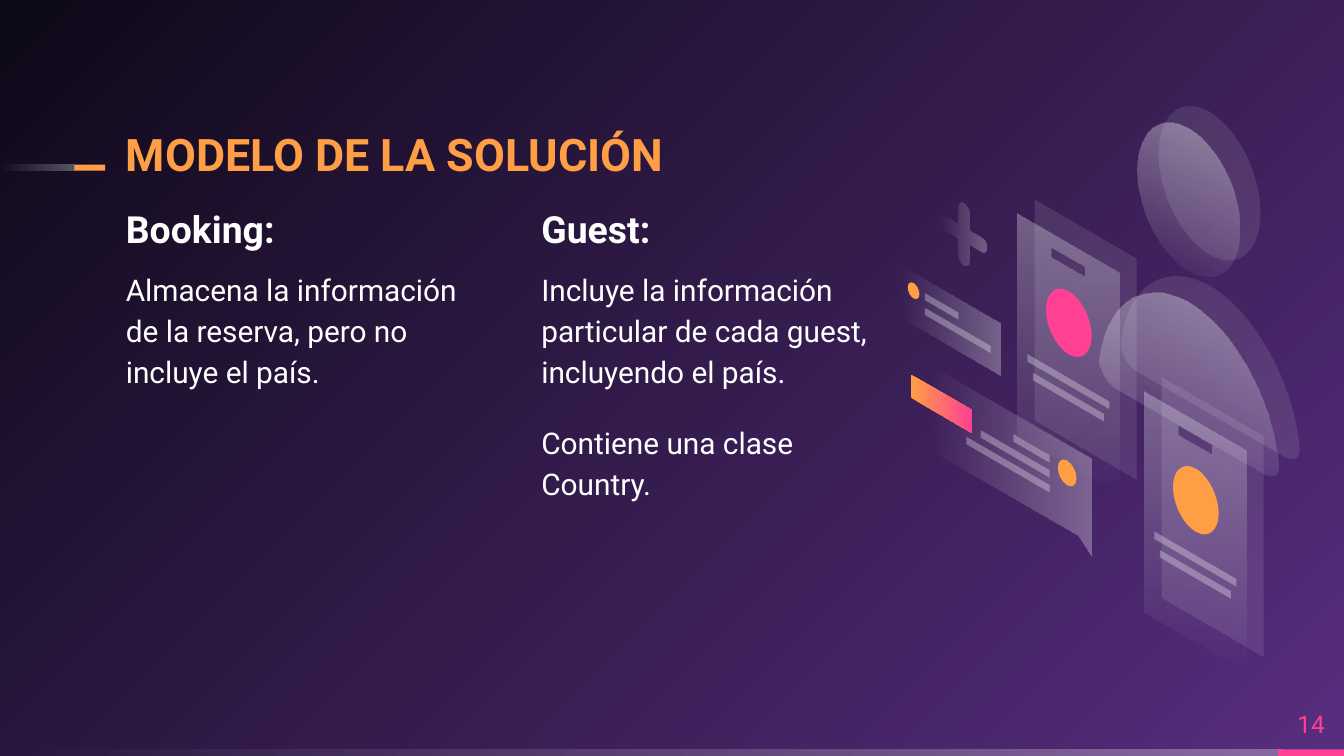
from math import cos, pi, sin

from lxml import etree
from pptx import Presentation
from pptx.dml.color import RGBColor
from pptx.enum.shapes import MSO_SHAPE
from pptx.enum.text import MSO_ANCHOR, MSO_AUTO_SIZE, PP_ALIGN
from pptx.oxml.ns import qn
from pptx.util import Pt

RECT = MSO_SHAPE.RECTANGLE
LEFT, CENTER = PP_ALIGN.LEFT, PP_ALIGN.CENTER
TOP, MIDDLE, BOTTOM = MSO_ANCHOR.TOP, MSO_ANCHOR.MIDDLE, MSO_ANCHOR.BOTTOM
FONT = "Roboto"
COLORS = {"night": "0E0918", "violet": "572D7E", "white": "FFFFFF",
          "orange": "FF9E44", "pink": "FF4093"}
SLOPE = 0.58  # fall of the isometric plane per unit of width
BEND = 0.55  # handle length of a quarter circle

# A look is a list of (colour, opacity in percent) stops and an angle.
ORANGE = ([("orange", 100)], 0)
PINK = ([("pink", 100)], 0)
FAINT = ([("white", 10)], 0)
SOFT = ([("white", 30)], 0)
FADE_LEFT = ([("white", 30), ("white", 0)], 180)
FADE_DOWN = ([("white", 30), ("white", 0)], 90)
GLOW = ([("white", 40), ("white", 0)], 110)
TAG = ([("orange", 100), ("pink", 100)], 0)

# Outlines hold points (two numbers) and cubic curves (six numbers).
BODY = [(648.7, 153.4), (624.2, 139.7, 604.1, 152.6, 600.5, 183.6),
        (599.8, 188.6, 604.1, 195.8, 608.4, 198.7), (688.3, 244.8),
        (693.4, 247.7, 697, 245.5, 696.2, 239),
        (692.6, 204.5, 672.5, 167.8, 648.7, 153.4)]


def rgb(name):
    return RGBColor.from_string(COLORS[name])


def blend(fill, names, angle):
    """Fill with a two-stop gradient; the angle runs clockwise."""
    fill.gradient()
    fill.gradient_angle = (360 - angle) % 360
    for stop, name in zip(fill.gradient_stops, names):
        stop.color.rgb = rgb(name)


def paint(shape, look):
    stops, angle = look
    if len(stops) == 1:
        shape.fill.solid()
        shape.fill.fore_color.rgb = rgb(stops[0][0])
    else:
        blend(shape.fill, [name for name, _ in stops], angle)
    for node, (_, alpha) in zip(shape._element.spPr.iter(qn("a:srgbClr")), stops):
        if alpha < 100:
            etree.SubElement(node, qn("a:alpha")).set("val", str(alpha * 1000))
    shape.line.fill.background()
    shape.shadow.inherit = False


def bar(slide, x, y, w, h, look):
    paint(slide.shapes.add_shape(RECT, Pt(x), Pt(y), Pt(w), Pt(h)), look)


def pairs(part):
    return list(zip(part[::2], part[1::2]))


def warp(parts, rule):
    """Apply a rule for one point to every point and handle."""
    return [sum((rule(u, v) for u, v in pairs(part)), ()) for part in parts]


def trace(parts, steps=12):
    """Points along the outline, from which its bounds are found."""
    points = []
    for part in parts:
        if len(part) == 2:
            points.append(part)
            continue
        knots = [points[-1]] + pairs(part)
        for i in range(1, steps + 1):
            t = i / steps
            mix = ((1 - t) ** 3, 3 * t * (1 - t) ** 2, 3 * t * t * (1 - t), t ** 3)
            points.append(tuple(sum(m * k[a] for m, k in zip(mix, knots))
                                for a in (0, 1)))
    return points


def bend(shape, rings):
    """Write the outline with true curves inside the shape's bounds."""
    path = next(shape._element.iter(qn("a:path")))
    for node in list(path):
        path.remove(node)
    for ring in rings:
        for i, part in enumerate(ring):
            kind = "a:cubicBezTo" if len(part) == 6 else "a:lnTo"
            step = etree.SubElement(path, qn(kind if i else "a:moveTo"))
            for x, y in pairs(part):
                spot = etree.SubElement(step, qn("a:pt"))
                spot.set("x", str(Pt(x) - shape.left))
                spot.set("y", str(Pt(y) - shape.top))
        etree.SubElement(path, qn("a:close"))


def outline(slide, look, *rings):
    """Draw closed rings as one shape; later rings are holes."""
    edge = [(Pt(x), Pt(y)) for x, y in trace(rings[0])]
    pen = slide.shapes.build_freeform(*edge[0], scale=1.0)
    pen.add_line_segments(edge[1:], close=True)
    shape = pen.convert_to_shape()
    bend(shape, rings)
    paint(shape, look)


def skew(x, y, parts):
    return warp(parts, lambda u, v: (x + u, y + v + SLOPE * u))


def panel(x, y, w, h):
    return skew(x, y, [(0, 0), (w, 0), (w, h), (0, h)])


def slab(slide, x, y, w, h, look):
    outline(slide, look, panel(x, y, w, h))


def disc(slide, x, y, rx, ry, look):
    a, b = BEND * rx, BEND * ry
    outline(slide, look, skew(x, y, [
        (rx, 0), (rx, b, a, ry, 0, ry), (-a, ry, -rx, b, -rx, 0),
        (-rx, -b, -a, -ry, 0, -ry), (a, -ry, rx, -b, rx, 0)]))


def plus(slide, x, y, rx, ry, look):
    half = 0.24
    k, base = BEND * half, 1 - half
    arm = [(base, -half), (base + k, -half, 1, -k, 1, 0),
           (1, k, base + k, half, base, half), (half, half)]
    parts = []
    for turn in range(4):
        c, s = round(cos(turn * pi / 2)), round(sin(turn * pi / 2))
        parts += warp(arm, lambda u, v: (rx * (u * c - v * s), ry * (u * s + v * c)))
    outline(slide, look, skew(x, y, parts))


def person(slide):
    for dx, dy, look in ((0, 0, FAINT), (-11.5, 8.9, GLOW)):
        outline(slide, look, warp(BODY, lambda u, v: (u + dx, v + dy)))
        disc(slide, 648 + dx, 98.2 + dy, 27.3, 38.2, look)


def card(slide, x, y, look):
    slab(slide, x + 9.1, y - 7.8, 54.7, 118.4, FAINT)
    outline(slide, FADE_DOWN, panel(x, y, 54.7, 118.4),
            panel(x + 18, y + 18.2, 18, 5)[::-1])
    slab(slide, x + 5.2, y + 75, 44, 4, SOFT)
    slab(slide, x + 8.2, y + 85, 38, 4, SOFT)
    disc(slide, x + 27.4, y + 58.3, 12.2, 16.9, look)


def chats(slide):
    outline(slide, FADE_LEFT, [(584.9, 245.6), (497.3, 195.2), (497.3, 240.4),
                               (577.5, 286.6), (584.9, 298)])
    slab(slide, 488, 200.7, 32.8, 12.3, TAG)
    for x, y in ((542.9, 232.6), (525.4, 230.5), (517.7, 234)):
        slab(slide, x, y, 562.3 - x, 4, SOFT)
    disc(slide, 571.7, 253.4, 5, 6.6, ORANGE)


def note(slide):
    slab(slide, 481.7, 141.8, 54.5, 28, FADE_LEFT)
    disc(slide, 489.4, 155.8, 3.1, 4.1, ORANGE)
    slab(slide, 495.4, 157, 18, 3.8, SOFT)
    slab(slide, 495.4, 164.9, 35.3, 3.8, SOFT)


def place(shape, x, y, w, h, anchor):
    shape.left, shape.top, shape.width, shape.height = Pt(x), Pt(y), Pt(w), Pt(h)
    frame = shape.text_frame
    frame.margin_left = frame.margin_right = 0
    frame.margin_top = frame.margin_bottom = 0
    frame.word_wrap = True
    frame.auto_size = MSO_AUTO_SIZE.NONE
    frame.vertical_anchor = anchor
    return frame


def write(par, text, size, color, bold=False, align=LEFT, line=1.0, gap=0):
    par.text = text
    par.alignment = align
    par.line_spacing = line
    par.space_before = par.space_after = Pt(gap)
    font = par.font
    font.name, font.size, font.bold = FONT, Pt(size), bold
    font.color.rgb = rgb(color)


def column(shape, x, head, lines):
    frame = place(shape, x, 106.9, 195, 269, TOP)
    frame.text = "\n".join([head] + lines)
    for i, par in enumerate(frame.paragraphs):
        size, gap = (16, 8) if i else (20, 0)
        write(par, par.text, size, "white", bold=not i, line=1.15, gap=gap)
        props = par._p.get_or_add_pPr()
        props.set("marL", "0")
        props.set("indent", "0")
        mark = etree.Element(qn("a:buNone"))
        props.insert_element_before(mark, "a:tabLst", "a:defRPr", "a:extLst")


def main():
    deck = Presentation()
    deck.slide_width, deck.slide_height = Pt(720), Pt(405)
    slide = deck.slides.add_slide(deck.slide_layouts[3])
    blend(slide.background.fill, ["night", "violet"], 45)

    bar(slide, 0, 401.4, 687, 3.6, FADE_LEFT)
    bar(slide, 684.7, 401.4, 35.3, 3.6, PINK)
    bar(slide, 0, 88.2, 40, 3.2, FADE_LEFT)
    bar(slide, 39.9, 88.2, 16.5, 3.2, ORANGE)

    title, left, right = slide.placeholders
    frame = place(title, 67.5, 66, 417.6, 31, BOTTOM)
    write(frame.paragraphs[0], "MODELO DE LA SOLUCIÓN", 24, "orange",
          bold=True, line=0.9)
    column(left, 67.4, "Booking:",
           ["Almacena la información de la reserva, pero no incluye el país."])
    column(right, 290, "Guest:",
           ["Incluye la información particular de cada guest, incluyendo el país.",
            "Contiene una clase Country."])
    box = slide.shapes.add_textbox(0, 0, 0, 0)
    frame = place(box, 684.7, 374, 35.3, 27, MIDDLE)
    write(frame.paragraphs[0], "14", 13, "pink", align=CENTER)

    person(slide)
    note(slide)
    card(slide, 613.2, 209.7, ORANGE)
    card(slide, 545.2, 114.7, PINK)
    chats(slide)
    plus(slide, 516.2, 125.3, 12.2, 16.5, FADE_LEFT)
    deck.save("out.pptx")


if __name__ == "__main__":
    main()
